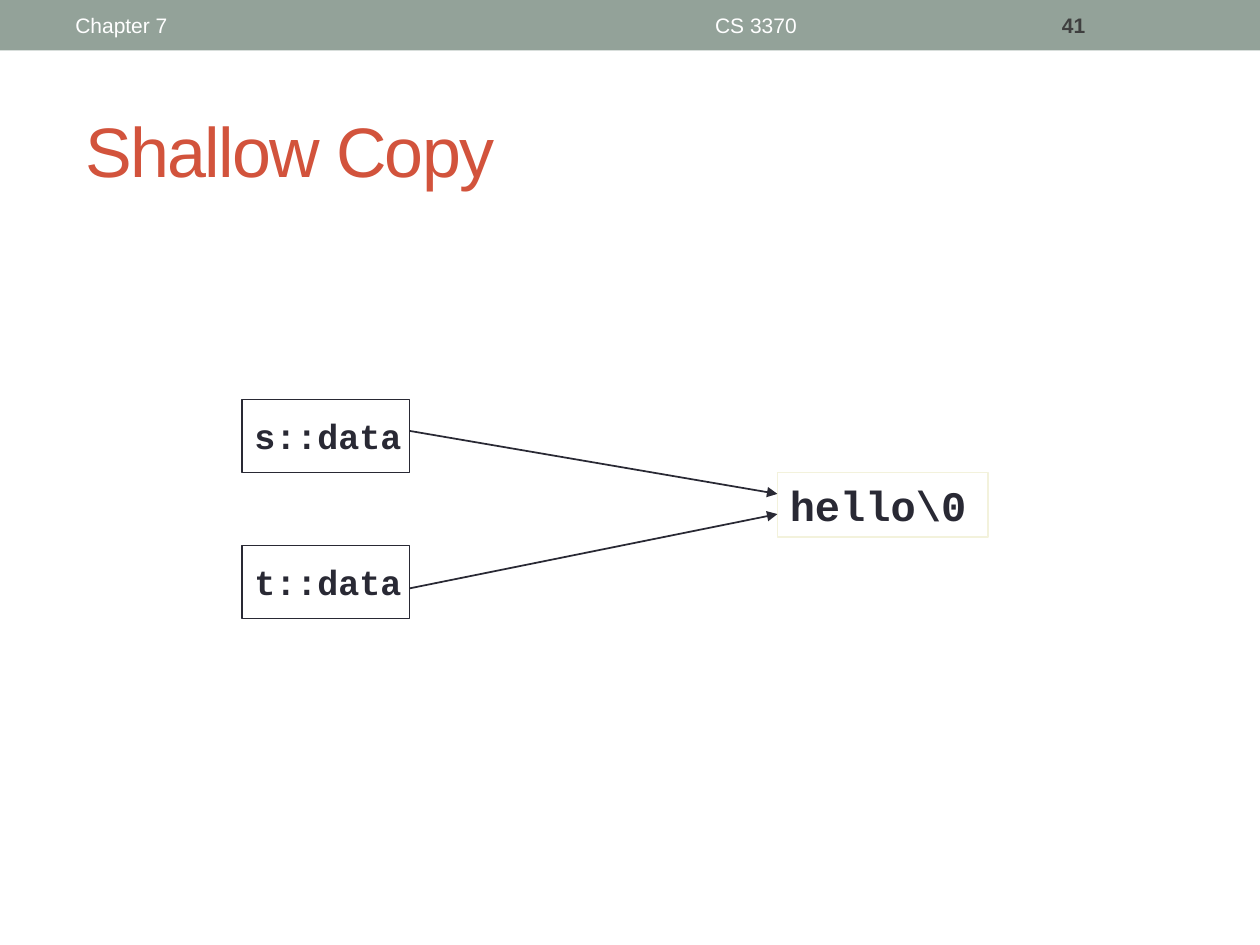
from pptx import Presentation
from pptx.dml.color import RGBColor as RGB
from pptx.enum.shapes import MSO_CONNECTOR as Link, MSO_SHAPE as Shape
from pptx.enum.text import MSO_ANCHOR as Anchor, PP_ALIGN as Align
from pptx.oxml.ns import qn
from pptx.util import Inches, Pt
from lxml.etree import SubElement

HUES = {"bar": "93A299", "title": "D2533C", "ink": "292934",
        "edge": "F3F2DC", "page": "3F3F3F", "white": "FFFFFF"}


def hue(name):
    return RGB.from_string(HUES[name])


def write(shape, text, size, font, color, bold=False,
          align=Align.LEFT, anchor=Anchor.MIDDLE):
    frame = shape.text_frame
    frame.text = text
    frame.word_wrap = True
    frame.vertical_anchor = anchor
    line = frame.paragraphs[0]
    line.alignment = align
    run = line.runs[0]
    run.font.size = Pt(size)
    run.font.name = font
    run.font.bold = bold
    run.font.color.rgb = hue(color)
    return run


def add_rect(slide, left, top, width, height, fill, edge=None):
    rect = slide.shapes.add_shape(Shape.RECTANGLE, Inches(left), Inches(top),
                                  Inches(width), Inches(height))
    rect.shadow.inherit = False
    rect.fill.solid()
    rect.fill.fore_color.rgb = hue(fill)
    if edge:
        rect.line.color.rgb = hue(edge)
        rect.line.width = Pt(1)
    else:
        rect.line.fill.background()
    return rect


def add_text(slide, left, top, width, height, *args, **style):
    box = slide.shapes.add_textbox(Inches(left), Inches(top),
                                   Inches(width), Inches(height))
    write(box, *args, **style)


def add_header(slide, left, top, width, height):
    add_rect(slide, left, top, width, height, "bar")
    parts = [
        (0.5, 3.17, "Chapter 7", "white", False, Align.LEFT),
        (3.75, 4.5, "CS 3370", "white", False, Align.CENTER),
        (8.33, 1.17, "41", "page", True, Align.LEFT),
    ]
    for shift, wide, text, color, bold, align in parts:
        add_text(slide, left + shift, top + 0.02, wide, height - 0.04,
                 text, 12, "Arial", color, bold=bold, align=align)


def add_title(slide, left, top, width, height):
    title = slide.shapes.title
    title.left, title.top = Inches(left), Inches(top)
    title.width, title.height = Inches(width), Inches(height)
    run = write(title, "Shallow Copy", 40, "Arial", "title")
    run.font._element.set("spc", "-100")


def add_arrow(slide, start, end):
    arrow = slide.shapes.add_connector(Link.STRAIGHT,
                                       *map(Inches, start + end))
    arrow.line.color.rgb = hue("ink")
    arrow.line.width = Pt(1)
    props = arrow._element.spPr
    SubElement(props.find(qn("a:ln")), qn("a:tailEnd"), type="triangle")
    SubElement(props, qn("a:effectLst"))


def add_diagram(slide, left, top):
    goal = left + 4.25
    value = add_rect(slide, goal, top + 0.58, 1.67, 0.51, "white", "edge")
    write(value, "hello\\0", 24, "Courier New", "ink", bold=True)
    rows = [("s::data", 0, 0.25, 0.75), ("t::data", 1.16, 1.5, 0.91)]
    for text, shift, start, end in rows:
        add_rect(slide, left, top + shift, 1.33, 0.58, "white", "ink")
        add_text(slide, left, top + shift + 0.07, 1.5, 0.43, text, 20,
                 "Courier New", "ink", bold=True, anchor=Anchor.TOP)
        add_arrow(slide, (left + 1.33, top + start), (goal, top + end))


def main():
    deck = Presentation()
    deck.slide_width, deck.slide_height = Inches(10), Inches(7.5)
    slide = deck.slides.add_slide(deck.slide_layouts[5])
    add_header(slide, 0, 0, 10, 0.4)
    add_title(slide, 0.58, 0.56, 8.5, 1.25)
    add_diagram(slide, 1.92, 3.17)
    deck.save("out.pptx")


if __name__ == "__main__":
    main()
